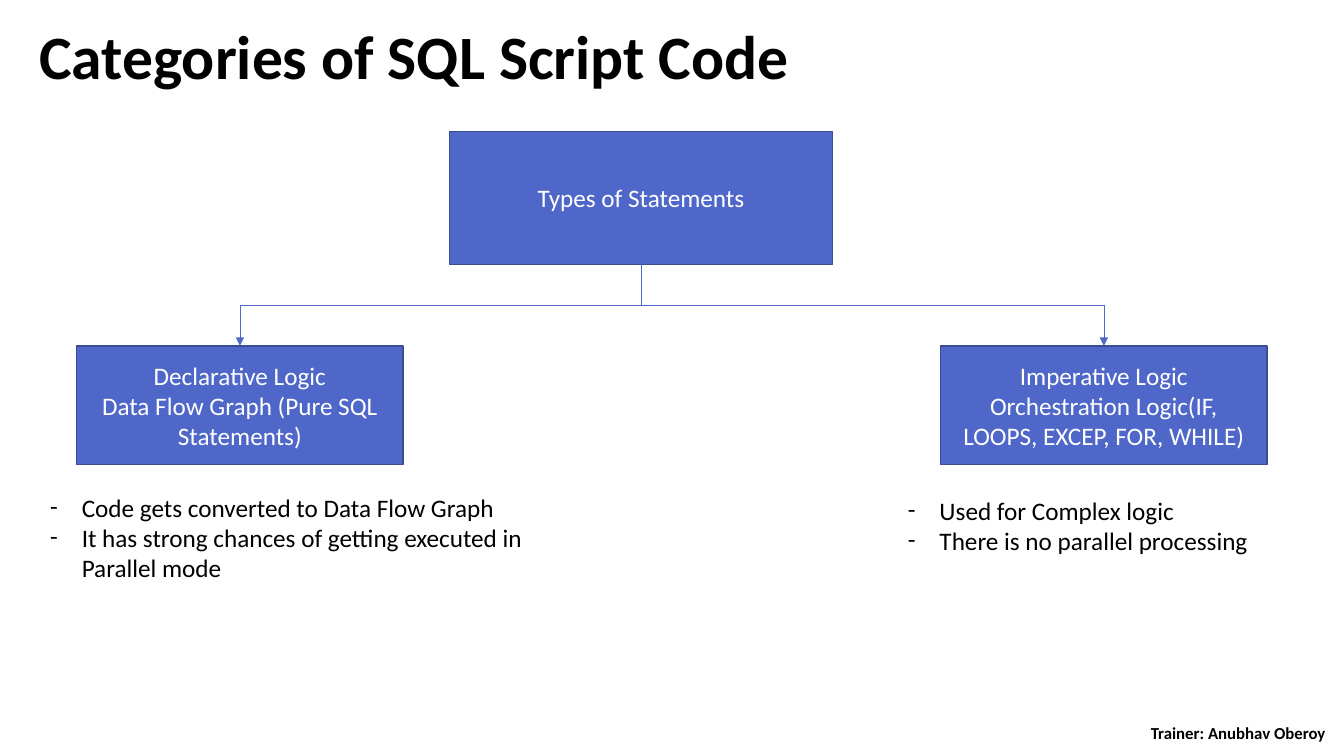
from lxml.etree import SubElement
from pptx import Presentation
from pptx.dml.color import RGBColor
from pptx.enum.shapes import MSO_CONNECTOR as Connector, MSO_SHAPE as Shape
from pptx.enum.text import MSO_ANCHOR as Anchor, MSO_AUTO_SIZE as AutoSize, PP_ALIGN as Align
from pptx.oxml.ns import qn
from pptx.util import Pt

TITLE = "Categories of SQL Script Code"
TRAINER = "Trainer: Anubhav Oberoy"
ROOT = ["Types of Statements"]
BRANCHES = [
    {
        "heading": ["Declarative Logic", "Data Flow Graph (Pure SQL Statements)"],
        "left": 54.7,
        "traits": ["Code gets converted to Data Flow Graph",
                   "It has strong chances of getting executed in Parallel mode"],
        "traits_at": (28.8, 347.8, 387.4, 72.7),
        "rotation": 90,
    },
    {
        "heading": ["Imperative Logic", "Orchestration Logic(IF, LOOPS, EXCEP, FOR, WHILE)"],
        "left": 671.8,
        "traits": ["Used for Complex logic", "There is no parallel processing"],
        "traits_at": (641.5, 349.9, 316.8, 51.1),
        "rotation": 270,
    },
]

TITLE_AT = (20.9, 15.1, 889.2, 56.2)
TRAINER_AT = (797, 515.5, 175, 15.8)
ROOT_AT = (321, 93.8, 273.8, 95)
BRANCH_TOP, BRANCH_WIDTH, BRANCH_HEIGHT = 247, 233.3, 85
TRAIT_INDENT = 22.5
BLUE, EDGE, BLACK, WHITE = "4E67C8", "3A4C94", "000000", "FFFFFF"

TITLE_FONT = {"size": Pt(44), "bold": True}
TRAINER_FONT = {"size": Pt(12), "bold": True}
BODY_FONT = {"size": Pt(18), "bold": False}


def paint(color_format, hex_color):
    color_format.rgb = RGBColor.from_string(hex_color)


def write(target, lines, font, color, frame, paragraph_format):
    text = target.text_frame
    text.text = "\n".join(lines)
    for key, value in {"word_wrap": True, **frame}.items():
        setattr(text, key, value)
    for paragraph in text.paragraphs:
        for key, value in paragraph_format.items():
            setattr(paragraph, key, value)
        for run in paragraph.runs:
            for key, value in {"name": "Calibri", **font}.items():
                setattr(run.font, key, value)
            paint(run.font.color, color)


def add_box(slide, lines, at):
    box = slide.shapes.add_shape(Shape.RECTANGLE, *map(Pt, at))
    box.shadow.inherit = False
    box.fill.solid()
    paint(box.fill.fore_color, BLUE)
    paint(box.line.color, EDGE)
    box.line.width = Pt(1)
    write(box, lines, BODY_FONT, WHITE,
          {"vertical_anchor": Anchor.MIDDLE}, {"alignment": Align.CENTER})


def add_traits(slide, lines, at):
    traits = slide.shapes.add_textbox(*map(Pt, at))
    write(traits, lines, BODY_FONT, BLACK, {"auto_size": AutoSize.SHAPE_TO_FIT_TEXT}, {})
    for paragraph in traits.text_frame.paragraphs:
        properties = paragraph._p.get_or_add_pPr()
        properties.set("marL", str(Pt(TRAIT_INDENT)))
        properties.set("indent", str(-Pt(TRAIT_INDENT)))
        SubElement(properties, qn("a:buFont")).set("typeface", "Calibri")
        SubElement(properties, qn("a:buChar")).set("char", "-")


def add_elbow(slide, start, end, rotation):
    center_x, center_y = [(a + b) / 2 for a, b in zip(start, end)]
    half_run, half_drop = abs(end[0] - start[0]) / 2, (end[1] - start[1]) / 2
    side = 1 if rotation == 90 else -1
    corners = (center_x - side * half_drop, center_y - half_run,
               center_x + side * half_drop, center_y + half_run)
    elbow = slide.shapes.add_connector(Connector.ELBOW, *map(Pt, corners))
    paint(elbow.line.color, BLUE)
    elbow.line.width = Pt(0.5)
    properties = elbow._element.spPr
    properties.find(qn("a:xfrm")).set("rot", str(rotation * 60000))
    SubElement(properties.find(qn("a:ln")), qn("a:tailEnd")).set("type", "triangle")
    SubElement(properties, qn("a:effectLst"))


def main():
    deck = Presentation()
    deck.slide_width, deck.slide_height = Pt(960), Pt(540)
    slide = deck.slides.add_slide(deck.slide_layouts[5])

    title = slide.shapes.title
    for key, value in zip(("left", "top", "width", "height"), TITLE_AT):
        setattr(title, key, Pt(value))
    write(title, [TITLE], TITLE_FONT, BLACK,
          {"vertical_anchor": Anchor.TOP, "auto_size": AutoSize.NONE},
          {"alignment": Align.LEFT, "line_spacing": 0.9})

    trainer = slide.shapes.add_textbox(*map(Pt, TRAINER_AT))
    write(trainer, [TRAINER], TRAINER_FONT, BLACK,
          {"vertical_anchor": Anchor.MIDDLE}, {"alignment": Align.CENTER})

    add_box(slide, ROOT, ROOT_AT)
    root_left, root_top, root_width, root_height = ROOT_AT
    fork = (root_left + root_width / 2, root_top + root_height)
    for branch in BRANCHES:
        add_box(slide, branch["heading"],
                (branch["left"], BRANCH_TOP, BRANCH_WIDTH, BRANCH_HEIGHT))
        add_elbow(slide, fork, (branch["left"] + BRANCH_WIDTH / 2, BRANCH_TOP),
                  branch["rotation"])
        add_traits(slide, branch["traits"], branch["traits_at"])

    deck.save("out.pptx")


if __name__ == "__main__":
    main()
